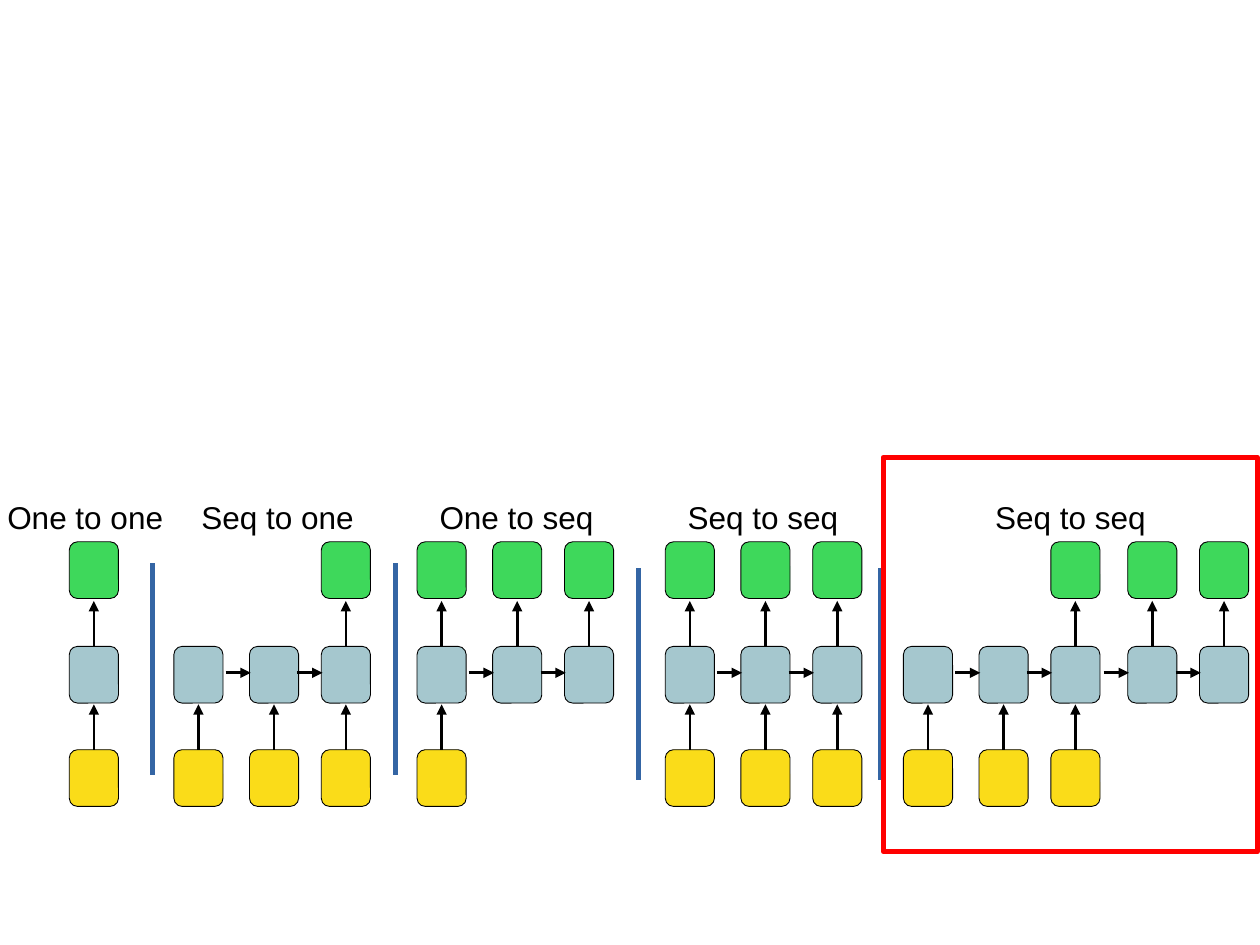
from lxml import etree
from pptx import Presentation
from pptx.dml.color import RGBColor
from pptx.enum import shapes, text
from pptx.oxml import ns
from pptx.util import Inches, Pt

BOX_W, BOX_H = 0.39, 0.45
OFFSETS = [0, 0.6, 1.17, 1.78, 2.35]
OUTPUT_Y, HIDDEN_Y, INPUT_Y = 4.3, 5.13, 5.95
GREEN, BLUE, YELLOW = "3ED85B", "A5C7CE", "FADC19"

# title, title left, first column left, input, hidden and output columns
PANELS = [
    ("One to one", -0.04, 0.55, [0], [0], [0]),
    ("Seq to one", 1.5, 1.38, [0, 1, 2], [0, 1, 2], [2]),
    ("One to seq", 3.39, 3.31, [0], [0, 1, 2], [0, 1, 2]),
    ("Seq to seq", 5.36, 5.28, [0, 1, 2], [0, 1, 2], [0, 1, 2]),
    ("Seq to seq", 7.8, 7.17, [0, 1, 2], [0, 1, 2, 3, 4], [2, 3, 4]),
]
DIVIDERS = [(1.21, 4.47), (3.14, 4.47), (5.07, 4.51), (6.99, 4.51)]


def color(value):
    """Turn a hex string into a colour."""
    return RGBColor.from_string(value)


def add_box(s, kind, x, y, w, h, fill=None, line="000000", width=0.5):
    """Add an outlined shape, filled if a colour is given."""
    sp = s.shapes.add_shape(kind, Inches(x), Inches(y), Inches(w), Inches(h))
    sp.shadow.inherit = False
    if fill:
        sp.fill.solid()
        sp.fill.fore_color.rgb = color(fill)
    else:
        sp.fill.background()
    sp.line.color.rgb = color(line)
    sp.line.width = Pt(width)
    return sp


def add_line(s, x1, y1, x2, y2, line="000000", width=1.5, arrow=False):
    """Add a straight line, with an arrowhead at its end on request."""
    c = s.shapes.add_connector(shapes.MSO_CONNECTOR.STRAIGHT,
                               Inches(x1), Inches(y1), Inches(x2), Inches(y2))
    c.line.color.rgb = color(line)
    c.line.width = Pt(width)
    if arrow:
        ln = c.line._get_or_add_ln()
        etree.SubElement(ln, ns.qn("a:tailEnd"), type="triangle")
    etree.SubElement(c._element.spPr, ns.qn("a:effectLst"))
    return c


def add_text(s, words, x, y, w, h, size=18, font="Arial", fill="000000"):
    """Add a wrapped text box with one formatted run."""
    tf = s.shapes.add_textbox(Inches(x), Inches(y), Inches(w), Inches(h)).text_frame
    tf.word_wrap = True
    tf.vertical_anchor = text.MSO_ANCHOR.TOP
    r = tf.paragraphs[0].add_run()
    r.text = words
    r.font.size = Pt(size)
    r.font.name = font
    r.font.color.rgb = color(fill)


def add_panel(s, title, title_left, left, inputs, hidden, outputs):
    """Add one network: its title, three rows of cells and arrows."""
    add_text(s, title, title_left, 3.9, 1.5, 0.66)
    rows = [(inputs, INPUT_Y, YELLOW), (hidden, HIDDEN_Y, BLUE), (outputs, OUTPUT_Y, GREEN)]
    for columns, y, fill in rows:
        for i in columns:
            sp = add_box(s, shapes.MSO_SHAPE.ROUNDED_RECTANGLE,
                         left + OFFSETS[i], y, BOX_W, BOX_H, fill)
            sp.adjustments[0] = 0.167
    for columns, y in [(inputs, INPUT_Y), (outputs, HIDDEN_Y)]:
        for i in columns:
            x = left + OFFSETS[i] + BOX_W / 2
            add_line(s, x, y, x, y - 0.36, arrow=True)
    for i in hidden[1:]:
        x = left + OFFSETS[i]
        add_line(s, x - 0.19, 5.34, x + 0.01, 5.34, arrow=True)


def main():
    """Build the slide and save it."""
    prs = Presentation()
    prs.slide_width, prs.slide_height = Inches(10), Inches(7.5)
    s = prs.slides.add_slide(prs.slide_layouts[6])
    for panel in PANELS:
        add_panel(s, *panel)
    for x, y in DIVIDERS:
        add_line(s, x, y, x, y + 1.68, line="3465A4", width=2.89)
    add_box(s, shapes.MSO_SHAPE.RECTANGLE, 7.01, 3.63, 2.97, 3.13,
            line="FF0000", width=2.89)
    prs.save("out.pptx")


if __name__ == "__main__":
    main()
